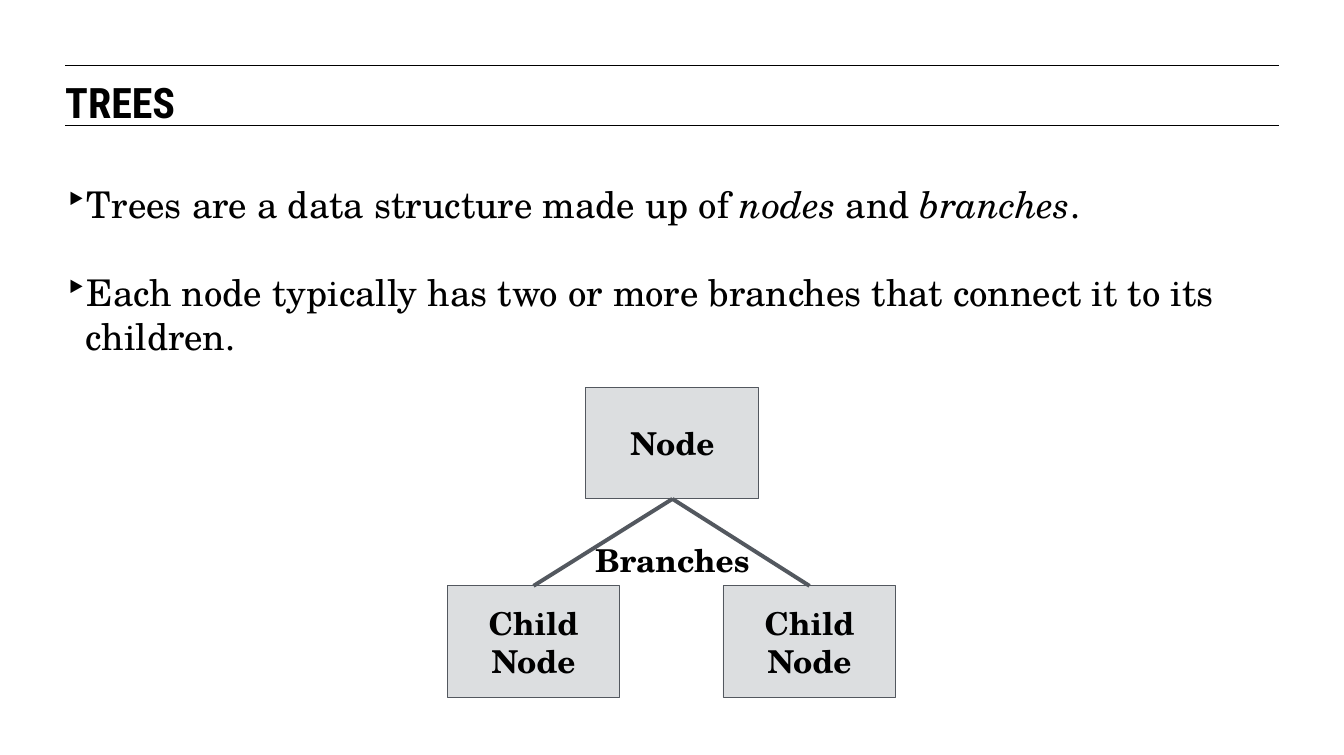
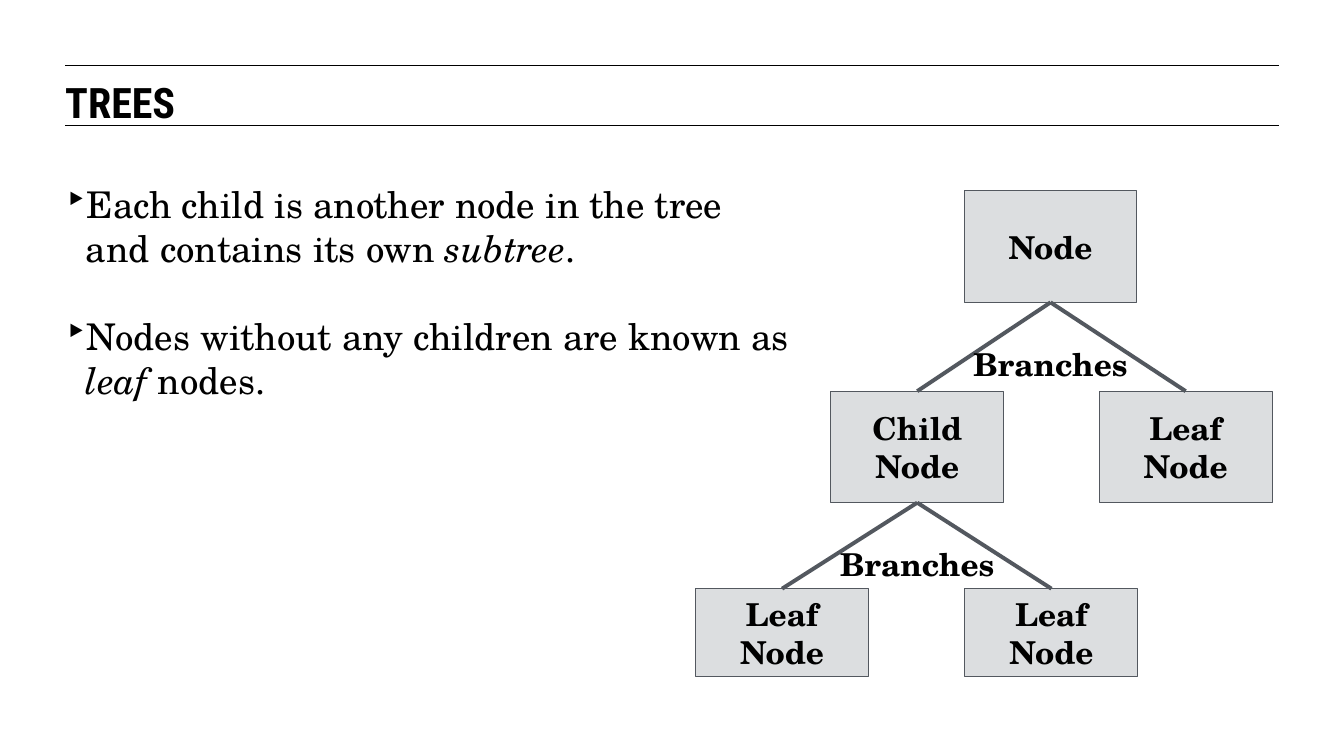
from lxml.etree import SubElement
from pptx import Presentation
from pptx.dml.color import RGBColor
from pptx.enum.shapes import MSO_CONNECTOR, MSO_SHAPE
from pptx.enum.text import MSO_ANCHOR, PP_ALIGN
from pptx.oxml.ns import qn
from pptx.util import Inches, Pt

BLACK = RGBColor(0x00, 0x00, 0x00)
NODE_FILL = RGBColor(0xDC, 0xDE, 0xE0)
NODE_LINE = RGBColor(0x53, 0x58, 0x5F)
TITLE_FONT = "Roboto Condensed"
BODY_FONT = "TeX Gyre Schola"

LEFT, RIGHT = 0.69, 13.53
NODE_WIDTH = 1.83
LABEL_GAP = 0.35

# In each bullet, every second piece of text is italic.
# Nodes are (text, left, top, height); branches map a parent to its children.
SLIDES = [
    {
        "bullets": [
            ["Trees are a data structure made up of ", "nodes", " and ", "branches", "."],
            ["Each node typically has two or more branches that connect it to its children."],
        ],
        "bullets_width": 12.83,
        "nodes": [
            ("Node", 6.2, 4.1, 1.18),
            ("Child\nNode", 4.73, 6.2, 1.18),
            ("Child\nNode", 7.65, 6.2, 1.18),
        ],
        "branches": {0: (1, 2)},
    },
    {
        "bullets": [
            ["Each child is another node in the tree and contains its own ", "subtree", "."],
            ["Nodes without any children are known as ", "leaf", " nodes."],
        ],
        "bullets_width": 7.67,
        "nodes": [
            ("Node", 10.2, 2.02, 1.18),
            ("Child\nNode", 8.79, 4.14, 1.18),
            ("Leaf Node", 11.63, 4.14, 1.18),
            ("Leaf Node", 7.36, 6.23, 0.93),
            ("Leaf Node", 10.21, 6.23, 0.93),
        ],
        "branches": {0: (1, 2), 1: (3, 4)},
    },
]


def write(frame, text, font, size, align, inset=0):
    """Fill a text frame with bold black text."""
    frame.word_wrap = True
    frame.margin_left = frame.margin_right = Inches(inset)
    frame.margin_top = frame.margin_bottom = Inches(inset)
    frame.text = text
    for paragraph in frame.paragraphs:
        paragraph.alignment = align
        paragraph.font.name = font
        paragraph.font.size = Pt(size)
        paragraph.font.bold = True
        paragraph.font.color.rgb = BLACK


def add_line(slide, color, width, start=(0, 0), end=(0, 0)):
    """Draw a straight line without a shadow."""
    line = slide.shapes.add_connector(
        MSO_CONNECTOR.STRAIGHT, *[Inches(value) for value in (*start, *end)])
    line.line.color.rgb = color
    line.line.width = Pt(width)
    SubElement(line._element.spPr, qn("a:effectLst"))
    return line


prs = Presentation()
prs.slide_width = Inches(14.22)
prs.slide_height = Inches(7.99)

for content in SLIDES:
    slide = prs.slides.add_slide(prs.slide_layouts[6])

    # Title between two rules
    for y in (0.69, 1.33):
        add_line(slide, BLACK, 0.75, (LEFT, y), (RIGHT, y))
    title = slide.shapes.add_textbox(
        Inches(LEFT), Inches(0.81), Inches(12.83), Inches(0.47))
    write(title.text_frame, "TREES", TITLE_FONT, 32, PP_ALIGN.LEFT)

    # Bullets
    body = slide.shapes.add_textbox(
        Inches(LEFT), Inches(1.92), Inches(content["bullets_width"]), Inches(3.7)).text_frame
    body.word_wrap = True
    body.margin_left = body.margin_right = body.margin_top = body.margin_bottom = 0
    for index, pieces in enumerate(content["bullets"]):
        bullet = body.add_paragraph() if index else body.paragraphs[0]
        bullet.font.name = BODY_FONT
        bullet.font.size = Pt(28)
        bullet.font.color.rgb = BLACK
        bullet.space_after = Pt(33.6)
        for position, piece in enumerate(pieces):
            run = bullet.add_run()
            run.text = piece
            if position % 2:
                run.font.italic = True
        properties = bullet._p.get_or_add_pPr()
        properties.set("marL", str(Inches(0.22)))
        properties.set("indent", str(Inches(-0.28)))
        marker_color = properties.makeelement(qn("a:buClr"), {})
        SubElement(marker_color, qn("a:srgbClr"), val=str(BLACK))
        marker = properties.makeelement(qn("a:buChar"), {"char": "‣"})
        properties.find(qn("a:spcAft")).addnext(marker_color)
        marker_color.addnext(marker)

    # Tree nodes
    nodes = []
    for text, left, top, height in content["nodes"]:
        node = slide.shapes.add_shape(
            MSO_SHAPE.RECTANGLE, Inches(left), Inches(top), Inches(NODE_WIDTH), Inches(height))
        node.shadow.inherit = False
        node.fill.solid()
        node.fill.fore_color.rgb = NODE_FILL
        node.line.color.rgb = NODE_LINE
        node.line.width = Pt(0.75)
        node.text_frame.vertical_anchor = MSO_ANCHOR.MIDDLE
        write(node.text_frame, text, BODY_FONT, 24, PP_ALIGN.CENTER, 0.1)
        nodes.append(node)

    # Branches from the bottom of a parent to the top of each child
    for parent_index, children in content["branches"].items():
        parent = nodes[parent_index]
        for child in children:
            branch = add_line(slide, NODE_LINE, 3)
            branch.begin_connect(parent, 2)
            branch.end_connect(nodes[child], 0)
        label = slide.shapes.add_textbox(
            parent.left, parent.top + parent.height + Inches(LABEL_GAP),
            parent.width, Inches(0.47))
        write(label.text_frame, "Branches", BODY_FONT, 24, PP_ALIGN.CENTER)
        label.text_frame.margin_top = Inches(0.1)

prs.save("out.pptx")
